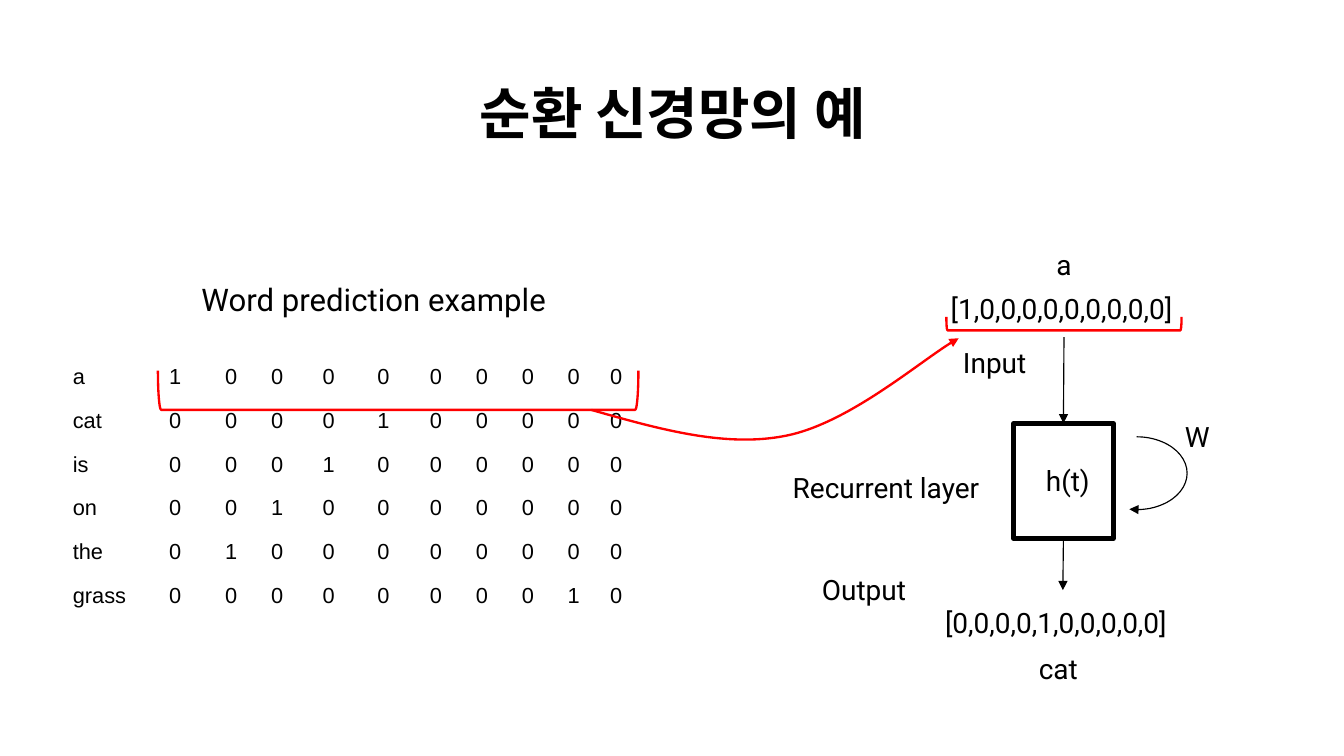
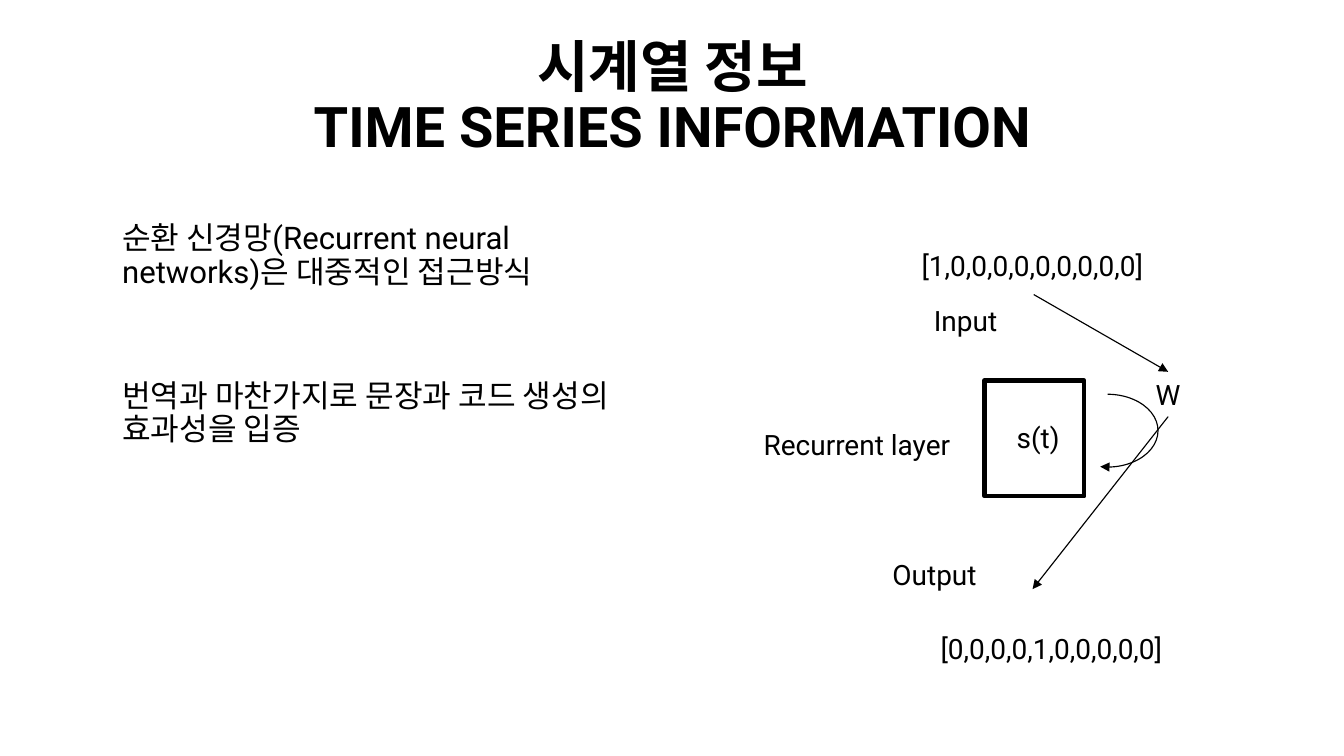
import pptx
import pptx.util
import pptx.dml.color
import pptx.enum.shapes
import pptx.enum.text
import pptx.oxml.ns
from lxml import etree

Inches = pptx.util.Inches
Pt = pptx.util.Pt
qn = pptx.oxml.ns.qn
KIND = pptx.enum.shapes.MSO_SHAPE
LINE = pptx.enum.shapes.MSO_CONNECTOR.STRAIGHT
ALIGN = pptx.enum.text.PP_ALIGN
ANCHOR = pptx.enum.text.MSO_ANCHOR
FIT = pptx.enum.text.MSO_AUTO_SIZE

HUES = {"ink": "000000", "mark": "FF0000", "page": "FFFFFF"}
FONT = "Roboto"


def write(par, text, size=18, face=FONT, bold=False):
    """Add text to a paragraph, one run per line."""
    for row, part in enumerate(text.split("\n")):
        if row:
            par.add_line_break()
        run = par.add_run()
        run.text = part
        run.font.name = face
        run.font.size = Pt(size)
        run.font.bold = bold
        run.font.color.rgb = pptx.dml.color.RGBColor.from_string(HUES["ink"])


def edge(shape, hue="ink", width=0.75, arrow=False):
    """Style an outline, drop the shadow and add an arrowhead."""
    shape.line.color.rgb = pptx.dml.color.RGBColor.from_string(HUES[hue])
    shape.line.width = Pt(width)
    props = shape._element.spPr
    if arrow:
        etree.SubElement(props.find(qn("a:ln")), qn("a:tailEnd"), type="triangle")
    etree.SubElement(props, qn("a:effectLst"))


deck = pptx.Presentation()
deck.slide_width = Inches(12)
deck.slide_height = Inches(6.75)

# Both slides: title, and a network moved by (dx, dy)
plans = [
    {"title": "순환 신경망의 예", "top": 0.71, "layout": 5, "dx": 0, "dy": 0,
     "state": "h(t)", "out": (7.24, 5.06), "last": (8.34, 5.36)},
    {"title": "시계열 정보\nTIME SERIES INFORMATION", "top": 0.83, "layout": 1,
     "dx": -0.26, "dy": -0.38,
     "state": "s(t)", "out": (7.87, 4.93), "last": (8.3, 5.59)},
]
slides, nets, boxes = [], [], []
for plan in plans:
    slide = deck.slides.add_slide(deck.slide_layouts[plan["layout"]])
    slides.append(slide)
    title = slide.shapes.title
    title.left, title.top = Inches(0.55), Inches(plan["top"])
    title.width, title.height = Inches(10.91), Inches(0.65)
    frame = title.text_frame
    frame.auto_size = FIT.NONE
    frame.vertical_anchor = ANCHOR.BOTTOM
    par = frame.paragraphs[0]
    par.alignment = ALIGN.CENTER
    par.line_spacing = 0.9
    write(par, plan["title"], 36, bold=True)

    # The second network is one group
    net = slide.shapes if plan["layout"] == 5 else slide.shapes.add_group_shape().shapes
    nets.append(net)
    dx, dy = plan["dx"], plan["dy"]

    box = net.add_shape(KIND.RECTANGLE, Inches(9.05 + dx), Inches(3.78 + dy),
                        Inches(0.89), Inches(1.03))
    box.fill.background()
    edge(box, width=3)
    boxes.append(box)

    loop = net.add_shape(KIND.ARC, Inches(9.7 + dx), Inches(3.9 + dy),
                         Inches(0.9), Inches(0.65))
    loop.adjustments[0] = 162
    loop.adjustments[1] = 60.98
    loop.fill.background()
    edge(loop, arrow=True)

    labels = [
        ("Input", 8.5 + dx, 3.04 + dy, 0.8),
        ("Recurrent layer", 6.98 + dx, 4.15 + dy, 1.96),
        ("[1,0,0,0,0,0,0,0,0,0]", 8.39 + dx, 2.55 + dy, 2.56),
        ("W", 10.48 + dx, 3.7 + dy, 0.42),
        (plan["state"], 9.24 + dx, 4.09 + dy, 0.63),
        ("Output", *plan["out"], 1.01),
        ("[0,0,0,0,1,0,0,0,0,0]", *plan["last"], 2.56),
    ]
    for text, left, top, width in labels:
        label = net.add_textbox(Inches(left), Inches(top), Inches(width), Inches(0.4))
        label.text_frame.word_wrap = False
        label.text_frame.auto_size = FIT.SHAPE_TO_FIT_TEXT
        write(label.text_frame.paragraphs[0], text)

# Arrows: network, start, end
lines = []
for net, x1, y1, x2, y2 in [
    (nets[0], 9.5, 3.01, 9.49, 3.78),
    (nets[0], 9.49, 4.81, 9.49, 5.27),
    (nets[1], 9.23, 2.63, 10.43, 3.32),
    (nets[1], 10.43, 3.72, 9.22, 5.26),
]:
    line = net.add_connector(LINE, Inches(x1), Inches(y1), Inches(x2), Inches(y2))
    edge(line, arrow=True)
    lines.append(line)
lines[0].end_connect(boxes[0], 0)
lines[1].begin_connect(boxes[0], 2)

# Slide 1: one-hot table, each word with the place of its 1
shapes = slides[0].shapes
words = {"a": 0, "cat": 4, "is": 3, "on": 2, "the": 1, "grass": 8}
wide = [0.86, 0.5, 0.41, 0.46, 0.49, 0.47, 0.41, 0.41, 0.41, 0.38, 0.53]
grid = shapes.add_table(len(words), len(wide), Inches(0.55), Inches(3.21),
                        Inches(sum(wide)), Inches(0.39 * len(words))).table
grid.first_row = False
grid.horz_banding = False
for col, width in enumerate(wide):
    grid.columns[col].width = Inches(width)
for row, (word, spot) in enumerate(words.items()):
    bits = ["1" if n == spot else "0" for n in range(len(wide) - 1)]
    for col, text in enumerate([word] + bits):
        cell = grid.cell(row, col)
        cell.fill.background()
        write(cell.text_frame.paragraphs[0], text, 14, "Arial")
        props = cell._tc.get_or_add_tcPr()
        for place, side in enumerate(["lnL", "lnR", "lnT", "lnB"]):
            thick = 3 if side == "lnB" and row == 0 and col != 1 else 1
            rule = etree.Element(qn("a:" + side), w=str(Pt(thick)))
            fill = etree.SubElement(rule, qn("a:solidFill"))
            etree.SubElement(fill, qn("a:srgbClr"), val=HUES["page"])
            props.insert(place, rule)

# Red brackets, turned to open upwards
for left, top, width, height in [(3.38, 1.34, 0.35, 4.29), (9.44, 1.84, 0.12, 2.1)]:
    hook = shapes.add_shape(KIND.LEFT_BRACKET, Inches(left), Inches(top),
                            Inches(width), Inches(height))
    hook.rotation = 270
    hook.fill.background()
    edge(hook, "mark", 1.5)

# Table heading
head = shapes.add_textbox(Inches(1.7), Inches(2.49), Inches(4.3), Inches(0.5))
head.text_frame.word_wrap = True
par = head.text_frame.paragraphs[0]
par.line_spacing = 0.9
par.space_before = par.space_after = Pt(9)
write(par, "Word prediction example", 20)

# Red curve: each three points make one Bezier segment
points = [(5.88, 3.83), (6.48, 4), (7.02, 3.89), (7.57, 3.78), (8.28, 3.17), (8.56, 3.02)]
pen = shapes.build_freeform(Inches(5.28), Inches(3.66))
pen.add_line_segments([(Inches(x), Inches(y)) for x, y in points], close=False)
curve = pen.convert_to_shape()
steps = list(curve._element.iter(qn("a:lnTo")))
for n in range(0, len(steps), 3):
    bend = etree.Element(qn("a:cubicBezTo"))
    steps[n].addprevious(bend)
    for step in steps[n:n + 3]:
        bend.append(step[0])
        step.getparent().remove(step)
curve.fill.background()
edge(curve, "mark", 1.5, arrow=True)

# Words read in and out
for text, left, top, width in [("a", 9.33, 2.19, 0.34), ("cat", 9.17, 5.8, 0.56)]:
    tag = shapes.add_textbox(Inches(left), Inches(top), Inches(width), Inches(0.37))
    frame = tag.text_frame
    frame.word_wrap = False
    frame.auto_size = FIT.SHAPE_TO_FIT_TEXT
    frame.vertical_anchor = ANCHOR.MIDDLE
    par = frame.paragraphs[0]
    par.alignment = ALIGN.CENTER
    par.line_spacing = 0.9
    write(par, text)

# Slide 2: body text
body = slides[1].placeholders[1]
body.left, body.top = Inches(0.99), Inches(1.94)
body.width, body.height = Inches(4.67), Inches(4.28)
frame = body.text_frame
frame.auto_size = FIT.NONE
notes = [
    ("순환 신경망(Recurrent neural networks)은 대중적인 접근방식", 9),
    ("번역과 마찬가지로 문장과 코드 생성의 효과성을 입증", 49),
]
for n, (text, gap) in enumerate(notes):
    par = frame.add_paragraph() if n else frame.paragraphs[0]
    par.line_spacing = 0.9
    par.space_before = Pt(gap)
    par.space_after = Pt(9)
    props = par._p.get_or_add_pPr()
    props.set("marL", "0")
    props.set("indent", "0")
    etree.SubElement(props, qn("a:buNone"))
    write(par, text, 20)

deck.save("out.pptx")
